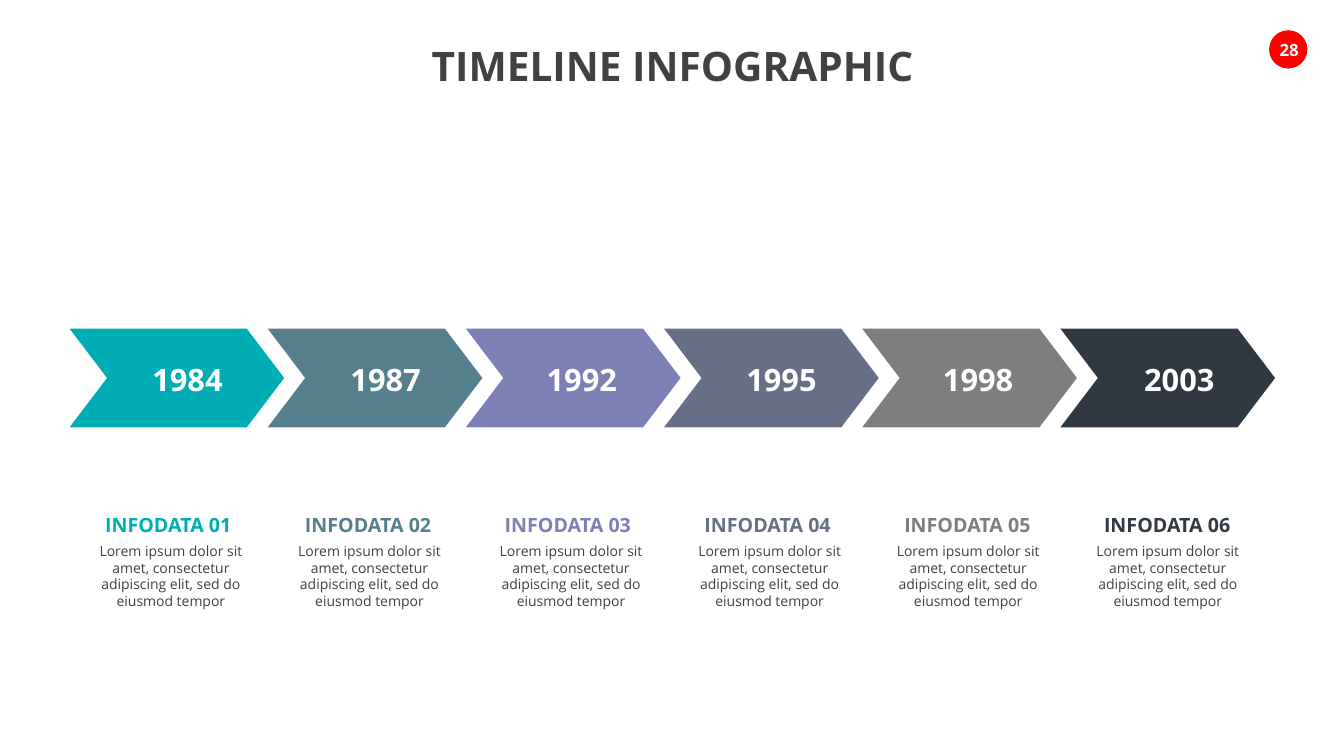
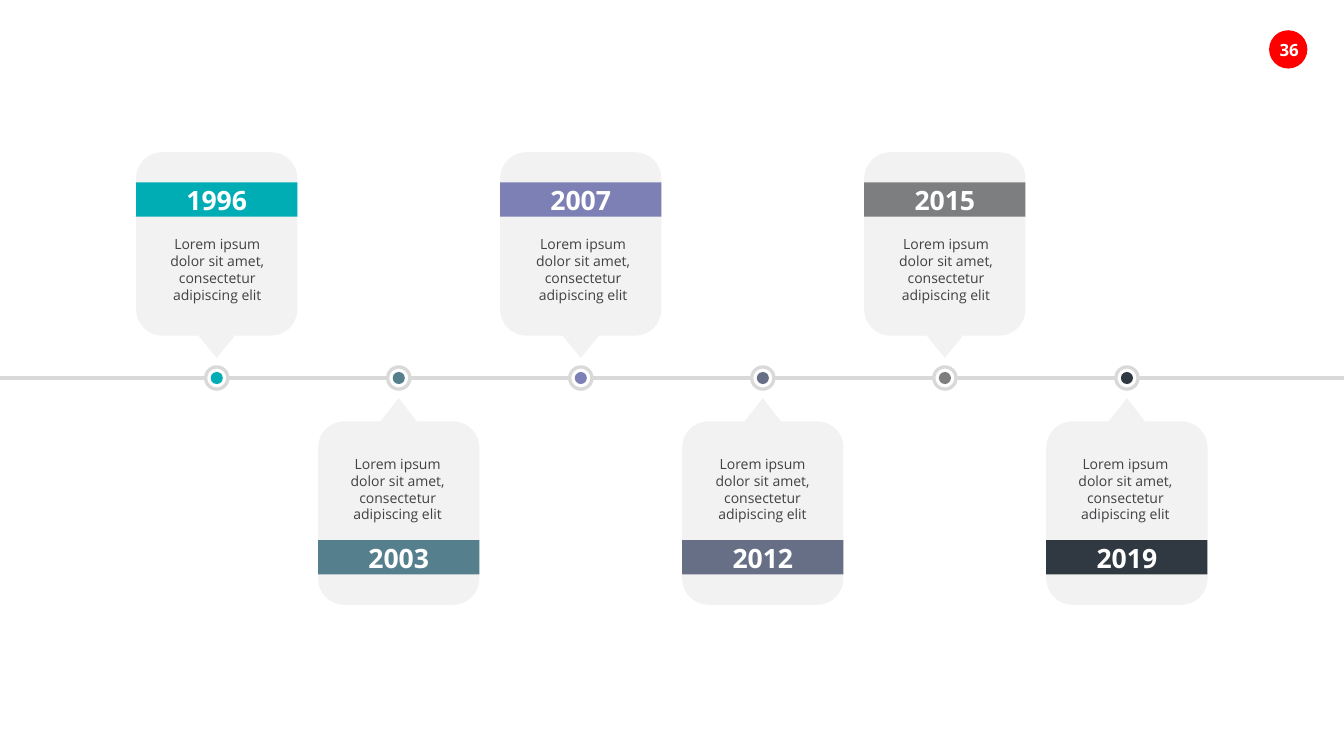
from dataclasses import dataclass

from lxml import etree
from pptx import Presentation
from pptx.dml.color import RGBColor
from pptx.enum.shapes import MSO_CONNECTOR, MSO_SHAPE
from pptx.enum.text import MSO_ANCHOR, PP_ALIGN
from pptx.oxml.ns import qn
from pptx.util import Emu, Inches, Pt

CENTER = PP_ALIGN.CENTER
TOP, MIDDLE = MSO_ANCHOR.TOP, MSO_ANCHOR.MIDDLE
OVAL, RECT, CHEVRON = MSO_SHAPE.OVAL, MSO_SHAPE.RECTANGLE, MSO_SHAPE.CHEVRON
STRAIGHT = MSO_CONNECTOR.STRAIGHT
PX = 9144  # 100 px to the inch


@dataclass(frozen=True)
class Theme:
    font: str = "Open Sans"
    text: str = "414042"
    white: str = "FFFFFF"
    badge: str = "FF0000"
    card: str = "F2F2F2"
    rule: str = "D9D9D9"
    accents: tuple = ("00ADB5", "557F8C", "7D80B5", "666F85", "7C7E80", "303841")
    title_size: int = 29
    arrow_size: int = 22
    band_size: int = 19
    heading_size: int = 14
    badge_size: int = 12
    body_size: int = 10
    rule_width: float = 2.38


THEME = Theme()

ARROWS = {
    "page": "28",
    "title": "TIMELINE INFOGRAPHIC",
    "years": ["1984", "1987", "1992", "1995", "1998", "2003"],
    "year_indents": [21, 21, 17, 20, 17, 23],
    "headings": [f"INFODATA {n:02}" for n in range(1, 7)],
    "body": "Lorem ipsum dolor sit amet, consectetur adipiscing elit, sed do eiusmod tempor",
    "body_lefts": [85, 282, 482, 679, 876, 1074],
}
CARDS = {
    "page": "36",
    "years": ["1996", "2003", "2007", "2012", "2015", "2019"],
    "body": "Lorem ipsum dolor sit amet, consectetur adipiscing elit",
    "body_lefts": [157, 336, 520, 698, 880, 1058],
}

# Vertical places of the cards above and below the axis
AXIS = 375
ABOVE = {"far": 151, "near": 333, "tip": 355, "band": 181, "body": 229}
BELOW = {"far": 600, "near": 418, "tip": 395, "band": 536, "body": 447}
CARD_W, BAND_H, RADIUS, TIP_HALF = 160, 34, 26, 18
DOT, RING = 12, 22
ARC = 0.55  # control point distance of a quarter circle


def px(value):
    return Emu(round(value * PX))


def rgb(value):
    return RGBColor.from_string(value)


def spread(first, last, count):
    """Evenly spaced positions from first to last."""
    return [first + (last - first) * i / (count - 1) for i in range(count)]


def write(sp, text, size, color, bold=True, wrap=False, anchor=MIDDLE, inset=(0, 0, 0, 0)):
    """Fill a shape with one centred paragraph; inset is left, top, right, bottom."""
    tf = sp.text_frame
    tf.word_wrap = wrap
    tf.vertical_anchor = anchor
    tf.margin_left, tf.margin_top, tf.margin_right, tf.margin_bottom = map(px, inset)
    tf.text = text
    p = tf.paragraphs[0]
    p.alignment = CENTER
    font = p.runs[0].font
    font.name, font.size, font.bold = THEME.font, Pt(size), bold
    font.color.rgb = rgb(color)


def add_text(slide, box, text, size, color, **style):
    sp = slide.shapes.add_textbox(*map(px, box))
    write(sp, text, size, color, anchor=TOP, **style)


def add_body(slide, box, text):
    add_text(slide, box, text, THEME.body_size, THEME.text,
             bold=False, wrap=True, inset=(10, 5, 10, 5))


def paint(sp, fill):
    sp.shadow.inherit = False
    sp.fill.solid()
    sp.fill.fore_color.rgb = rgb(fill)
    sp.line.fill.background()


def add_filled(slide, kind, box, fill):
    sp = slide.shapes.add_shape(kind, *map(px, box))
    paint(sp, fill)
    return sp


def around(cx, cy, size):
    return cx - size / 2, cy - size / 2, size, size


def add_slide(prs, page):
    """Blank slide with the page badge that every slide carries."""
    slide = prs.slides.add_slide(prs.slide_layouts[6])
    badge = add_filled(slide, OVAL, (1259, 30, 38, 38), THEME.badge)
    write(badge, page, THEME.badge_size, THEME.white, inset=(2, 0, 0, 0))
    return slide


def round_corner(start, corner, end):
    """Turn the path steps start-corner-end into one quarter-circle curve."""
    a, b, c = (step.find(qn("a:pt")) for step in (start, corner, end))
    curve = etree.Element(qn("a:cubicBezTo"))
    for near in (a, c):
        control = etree.SubElement(curve, qn("a:pt"))
        for axis in ("x", "y"):
            n, v = int(near.get(axis)), int(b.get(axis))
            control.set(axis, str(round(n + ARC * (v - n))))
    curve.append(c)
    outline = corner.getparent()
    outline.replace(corner, curve)
    outline.remove(end)


def add_card(slide, cx, side):
    """Rounded card whose pointer faces the axis."""
    far, near, tip = side["far"], side["near"], side["tip"]
    left, right = cx - CARD_W / 2, cx + CARD_W / 2
    toward = RADIUS if near > far else -RADIUS
    far_in, near_in = far + toward, near - toward
    points = [
        (left, far_in), (left, far), (left + RADIUS, far),
        (right - RADIUS, far), (right, far), (right, far_in),
        (right, near_in), (right, near), (right - RADIUS, near),
        (cx + TIP_HALF, near), (cx, tip), (cx - TIP_HALF, near),
        (left + RADIUS, near), (left, near), (left, near_in),
    ]
    points = [(px(x), px(y)) for x, y in points]
    builder = slide.shapes.build_freeform(*points[0])
    builder.add_line_segments(points[1:], close=True)
    card = builder.convert_to_shape()
    steps = list(next(card._element.iter(qn("a:path"))))
    for first in (12, 6, 3, 0):
        round_corner(*steps[first:first + 3])
    paint(card, THEME.card)


def add_marker(slide, cx, color):
    add_filled(slide, OVAL, around(cx, AXIS, DOT), color)
    ring = slide.shapes.add_shape(OVAL, *map(px, around(cx, AXIS, RING)))
    ring.shadow.inherit = False
    ring.fill.background()
    ring.line.color.rgb = rgb(THEME.rule)
    ring.line.width = Pt(THEME.rule_width)


def add_rule(slide, x1, x2):
    line = slide.shapes.add_connector(STRAIGHT, px(x1), px(AXIS), px(x2), px(AXIS))
    line.line.color.rgb = rgb(THEME.rule)
    line.line.width = Pt(THEME.rule_width)
    etree.SubElement(line._element.spPr, qn("a:effectLst"))


def build_arrows(prs):
    slide = add_slide(prs, ARROWS["page"])
    add_text(slide, (426, 41, 483, 49), ARROWS["title"], THEME.title_size, THEME.text)
    count = len(ARROWS["years"])
    arrows = zip(spread(69, 1052, count), ARROWS["years"], ARROWS["year_indents"], THEME.accents)
    for x, year, indent, color in arrows:
        arrow = add_filled(slide, CHEVRON, (x, 326, 213, 98), color)
        arrow.adjustments[0] = 0.38
        write(arrow, year, THEME.arrow_size, THEME.white, inset=(indent, 2, 0, 0))
    notes = zip(spread(104, 1095, count), ARROWS["headings"], ARROWS["body_lefts"], THEME.accents)
    for x, heading, body_left, color in notes:
        add_text(slide, (x, 509, 126, 24), heading, THEME.heading_size, color)
        add_body(slide, (body_left, 533, 169, 77), ARROWS["body"])


def build_cards(prs):
    slide = add_slide(prs, CARDS["page"])
    centers = spread(215, 1118, len(CARDS["years"]))
    cards = zip(centers, CARDS["years"], CARDS["body_lefts"], THEME.accents)
    for i, (cx, year, body_left, color) in enumerate(cards):
        side = BELOW if i % 2 else ABOVE
        add_card(slide, cx, side)
        band = add_filled(slide, RECT, (cx - CARD_W / 2, side["band"], CARD_W, BAND_H), color)
        write(band, year, THEME.band_size, THEME.white)
        add_body(slide, (body_left, side["body"], 117, 77), CARDS["body"])
        add_marker(slide, cx, color)
    starts = [0] + [cx + RING / 2 for cx in centers]
    ends = [cx - RING / 2 for cx in centers] + [prs.slide_width / PX]
    for x1, x2 in zip(starts, ends):
        add_rule(slide, x1, x2)


def main():
    prs = Presentation()
    prs.slide_width, prs.slide_height = Inches(40 / 3), Inches(7.5)
    build_arrows(prs)
    build_cards(prs)
    prs.save("out.pptx")


if __name__ == "__main__":
    main()
